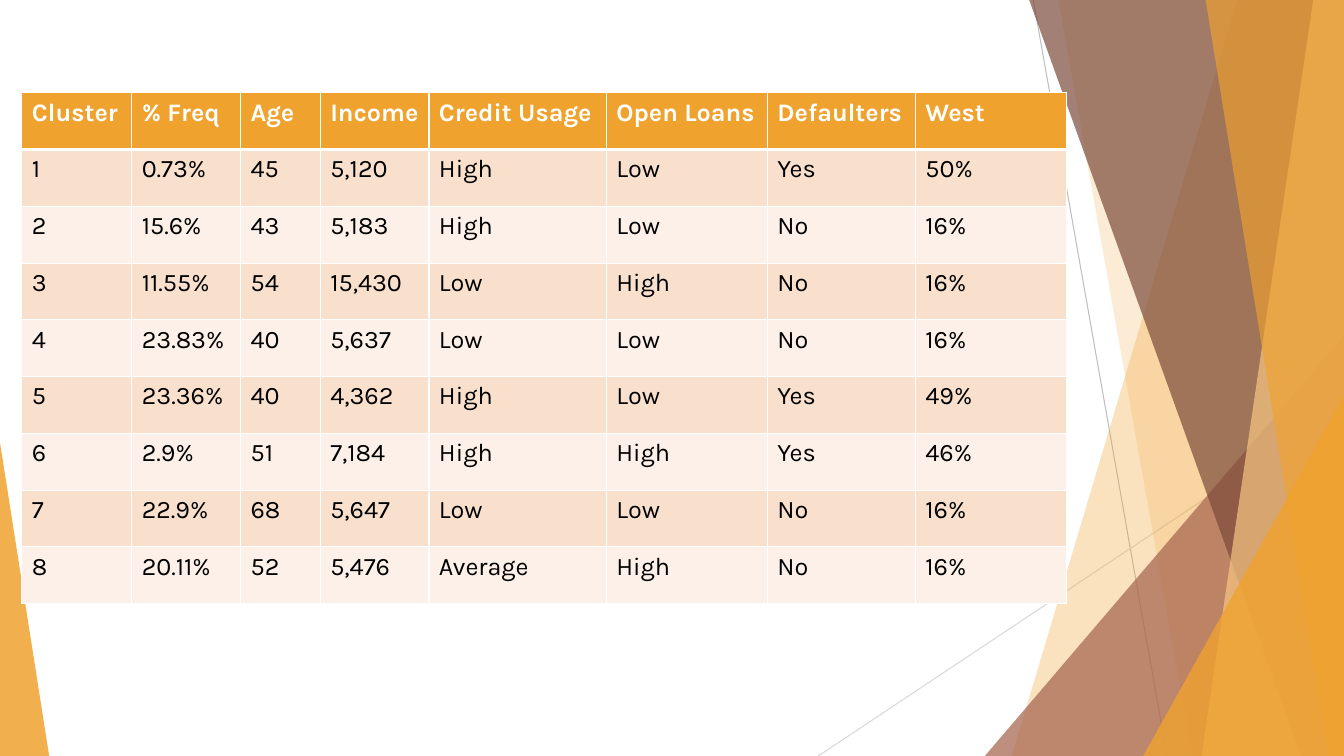
from dataclasses import dataclass

import lxml.etree
import pptx
import pptx.dml.color
import pptx.enum.shapes
import pptx.oxml.ns
import pptx.util

Cm = pptx.util.Cm
Pt = pptx.util.Pt
qn = pptx.oxml.ns.qn


@dataclass(frozen=True)
class Theme:
    font: str = "Karla"
    text_size: float = 18
    white: str = "FFFFFF"
    black: str = "000000"
    amber: str = "F0A22E"
    sand: str = "F6C782"
    clay: str = "A5644E"
    brown: str = "7C4B3B"
    band_dark: str = "F9E0CD"
    band_light: str = "FCF0E8"
    grey: str = "BFBFBF"
    pale_grey: str = "D9D9D9"
    hairline: float = 0.75
    border: float = 1
    header_border: float = 3


@dataclass(frozen=True)
class Ray:
    start: tuple[float, float]
    end: tuple[float, float]
    color: str


@dataclass(frozen=True)
class Facet:
    top_x: float
    bottom_x: float
    color: str
    opacity: int


@dataclass(frozen=True)
class Wedge:
    left: float
    top: float
    width: float
    apex: float
    color: str
    opacity: int


THEME = Theme()
WIDTH, HEIGHT = 33.87, 19.05
FACET_TOP = -0.02

RAYS = [
    Ray((26.04, 0), (29.41, HEIGHT), THEME.grey),
    Ray((WIDTH, 10.24), (20.62, HEIGHT), THEME.pale_grey),
]
PANES = [
    Facet(31.19, 25.5, THEME.amber, 30),
    Facet(26.67, 30.05, THEME.amber, 20),
    Wedge(24.82, 8.46, 9.05, 1, THEME.clay, 72),
    Facet(25.93, 32.79, THEME.brown, 70),
    Facet(33.1, 30.28, THEME.sand, 70),
    Facet(30.38, 33.48, THEME.amber, 65),
    Wedge(28.81, 9.98, 5.06, 1, THEME.amber, 80),
    Wedge(0, 11.15, 1.24, 0, THEME.amber, 85),
]

TABLE_LEFT, TABLE_TOP, ROW_HEIGHT = 0.55, 2.34, 1.43
COLUMN_WIDTHS = [2.77, 2.74, 2.01, 2.74, 4.47, 4.06, 3.73, 3.81]
CLUSTERS = [
    ["Cluster", "% Freq", "Age", "Income", "Credit Usage", "Open Loans", "Defaulters", "West"],
    ["1", "0.73%", "45", "5,120", "High", "Low", "Yes", "50%"],
    ["2", "15.6%", "43", "5,183", "High", "Low", "No", "16%"],
    ["3", "11.55%", "54", "15,430", "Low", "High", "No", "16%"],
    ["4", "23.83%", "40", "5,637", "Low", "Low", "No", "16%"],
    ["5", "23.36%", "40", "4,362", "High", "Low", "Yes", "49%"],
    ["6", "2.9%", "51", "7,184", "High", "High", "Yes", "46%"],
    ["7", "22.9%", "68", "5,647", "Low", "Low", "No", "16%"],
    ["8", "20.11%", "52", "5,476", "Average", "High", "No", "16%"],
]


def rgb(color: str) -> pptx.dml.color.RGBColor:
    return pptx.dml.color.RGBColor.from_string(color)


def write_text(tf, text: str, *, color: str, bold: bool = False,
               size: float = THEME.text_size, font: str = THEME.font) -> None:
    r = tf.paragraphs[0].add_run()
    r.text = text
    r.font.name = font
    r.font.size = Pt(size)
    r.font.bold = bold
    r.font.color.rgb = rgb(color)


def draw_ray(s, ray: Ray) -> None:
    (x1, y1), (x2, y2) = ray.start, ray.end
    line = s.shapes.add_connector(
        pptx.enum.shapes.MSO_CONNECTOR.STRAIGHT, Cm(x1), Cm(y1), Cm(x2), Cm(y2))
    line.line.color.rgb = rgb(ray.color)
    line.line.width = Pt(THEME.hairline)
    lxml.etree.SubElement(line._element.spPr, qn("a:effectLst"))


def paint(sp, color: str, opacity: int) -> None:
    sp.shadow.inherit = False
    sp.line.fill.background()
    sp.fill.solid()
    sp.fill.fore_color.rgb = rgb(color)
    clr = sp._element.spPr.find(qn("a:solidFill")).find(qn("a:srgbClr"))
    lxml.etree.SubElement(clr, qn("a:alpha"), val=str(opacity * 1000))


def draw_facet(s, facet: Facet) -> None:
    builder = s.shapes.build_freeform(Cm(facet.top_x), Cm(FACET_TOP))
    corners = [(WIDTH, FACET_TOP), (WIDTH, HEIGHT), (facet.bottom_x, HEIGHT)]
    builder.add_line_segments([(Cm(x), Cm(y)) for x, y in corners], close=True)
    paint(builder.convert_to_shape(), facet.color, facet.opacity)


def draw_wedge(s, wedge: Wedge) -> None:
    sp = s.shapes.add_shape(
        pptx.enum.shapes.MSO_SHAPE.ISOSCELES_TRIANGLE,
        Cm(wedge.left), Cm(wedge.top), Cm(wedge.width), Cm(HEIGHT - wedge.top))
    sp.adjustments[0] = wedge.apex
    paint(sp, wedge.color, wedge.opacity)


def set_borders(cell, top: float, bottom: float) -> None:
    tc_pr = cell._tc.get_or_add_tcPr()
    sides = {"L": THEME.border, "R": THEME.border, "T": top, "B": bottom}
    for i, (side, width) in enumerate(sides.items()):
        ln = lxml.etree.Element(qn(f"a:ln{side}"), w=str(Pt(width)))
        fill = lxml.etree.SubElement(ln, qn("a:solidFill"))
        lxml.etree.SubElement(fill, qn("a:srgbClr"), val=THEME.white)
        tc_pr.insert(i, ln)


def draw_table(s, rows: list[list[str]]) -> None:
    table = s.shapes.add_table(
        len(rows), len(COLUMN_WIDTHS), Cm(TABLE_LEFT), Cm(TABLE_TOP),
        Cm(sum(COLUMN_WIDTHS)), Cm(ROW_HEIGHT * len(rows))).table
    for column, width in zip(table.columns, COLUMN_WIDTHS):
        column.width = Cm(width)
    for i, row in enumerate(rows):
        table.rows[i].height = Cm(ROW_HEIGHT)
        header = i == 0
        band = THEME.band_dark if i % 2 else THEME.band_light
        for j, text in enumerate(row):
            cell = table.cell(i, j)
            cell.fill.solid()
            cell.fill.fore_color.rgb = rgb(THEME.amber if header else band)
            set_borders(cell,
                        top=THEME.header_border if i == 1 else THEME.border,
                        bottom=THEME.header_border if header else THEME.border)
            write_text(cell.text_frame, text, bold=header,
                       color=THEME.white if header else THEME.black)


def main() -> None:
    prs = pptx.Presentation()
    prs.slide_width, prs.slide_height = Cm(WIDTH), Cm(HEIGHT)
    s = prs.slides.add_slide(prs.slide_layouts[6])
    for ray in RAYS:
        draw_ray(s, ray)
    for pane in PANES:
        if isinstance(pane, Facet):
            draw_facet(s, pane)
        else:
            draw_wedge(s, pane)
    draw_table(s, CLUSTERS)
    prs.save("out.pptx")


if __name__ == "__main__":
    main()
